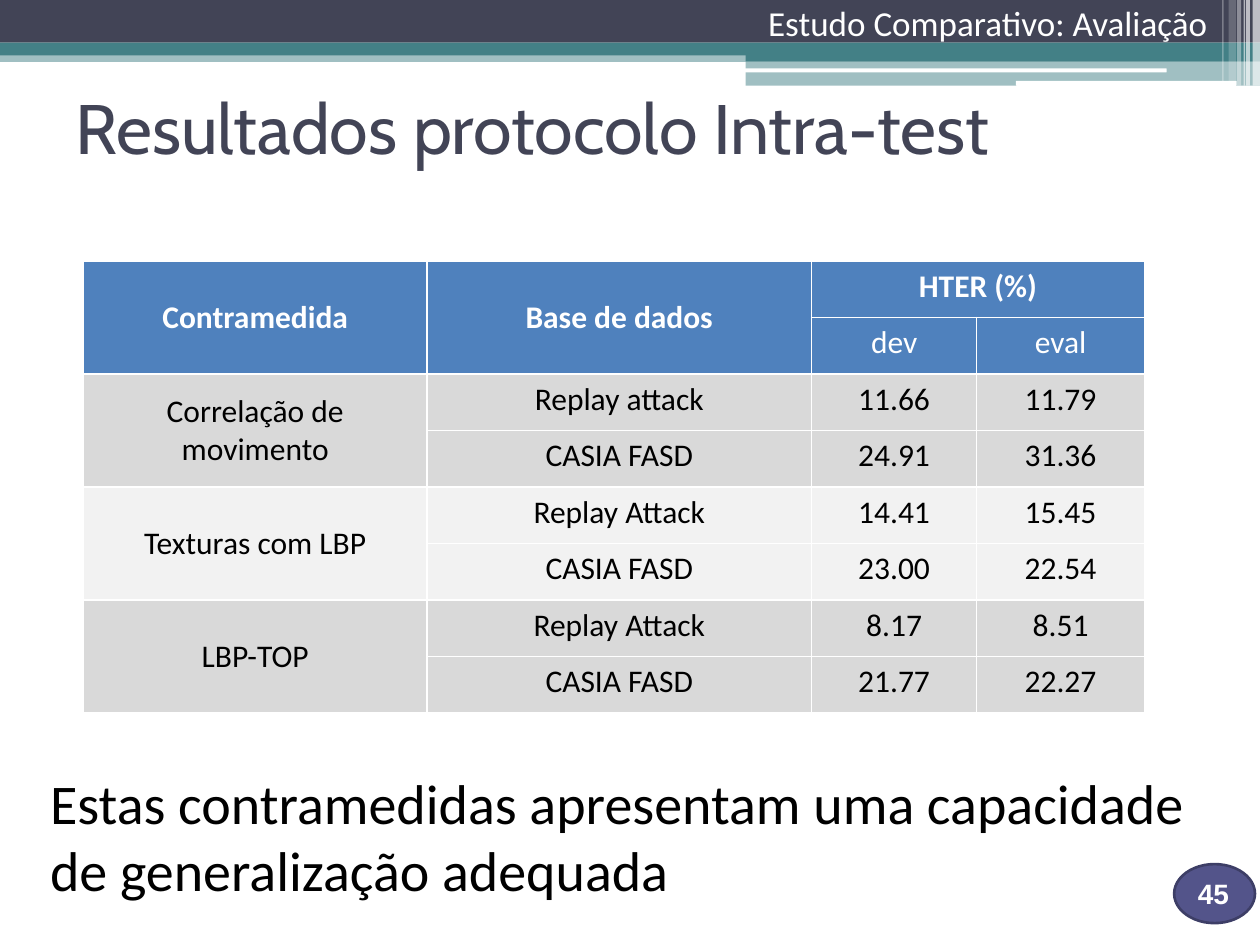
from lxml import etree
from pptx import Presentation
from pptx.dml.color import RGBColor
from pptx.enum import shapes, text
from pptx.oxml import ns
from pptx.util import Cm, Pt

WHITE = RGBColor(0xFF, 0xFF, 0xFF)
BLACK = RGBColor(0x00, 0x00, 0x00)
NAVY = RGBColor(0x42, 0x44, 0x56)
TEAL = RGBColor(0x43, 0x80, 0x86)
PURPLE = RGBColor(0x53, 0x54, 0x8A)
DARK_PURPLE = RGBColor(0x3D, 0x3E, 0x66)
BLUE = RGBColor(0x4F, 0x81, 0xBD)
GREY = RGBColor(0xD9, 0xD9, 0xD9)
LIGHT_GREY = RGBColor(0xF2, 0xF2, 0xF2)

RECT = shapes.MSO_SHAPE.RECTANGLE
ROUND = shapes.MSO_SHAPE.ROUNDED_RECTANGLE
OVAL = shapes.MSO_SHAPE.OVAL

BARS = [
    (RECT, 0, 1.02, 25.4, 0.23, TEAL, 50),
    (RECT, 0, 0, 25.4, 0.86, NAVY, 100),
    (RECT, 0, 0.86, 25.4, 0.26, TEAL, 100),
    (RECT, 15.03, 0.98, 10.37, 0.25, TEAL, 100),
    (RECT, 15.03, 1.23, 10.37, 0.5, TEAL, 50),
    (ROUND, 15.01, 1.38, 8.51, 0.08, WHITE, 100),
    (ROUND, 20.48, 1.63, 4.45, 0.1, WHITE, 100),
    (RECT, 25.25, 0, 0.15, 1.73, WHITE, 65),
    (RECT, 25.12, 0, 0.08, 1.73, WHITE, 65),
    (RECT, 25.07, 0, 0.03, 1.73, WHITE, 60),
    (RECT, 24.94, 0, 0.08, 1.73, WHITE, 40),
    (RECT, 24.77, 0, 0.15, 1.63, WHITE, 20),
    (RECT, 24.64, 0, 0.03, 1.63, WHITE, 30),
]

ROWS = [
    ("Contramedida", "Base de dados", "HTER (%)", ""),
    ("", "", "dev", "eval"),
    ("Correlação de movimento", "Replay attack", "11.66", "11.79"),
    ("", "CASIA FASD", "24.91", "31.36"),
    ("Texturas com LBP", "Replay Attack", "14.41", "15.45"),
    ("", "CASIA FASD", "23.00", "22.54"),
    ("LBP-TOP", "Replay Attack", "8.17", "8.51"),
    ("", "CASIA FASD", "21.77", "22.27"),
]
COLUMN_WIDTHS = (6.93, 7.75, 3.33, 3.38)
ROW_HEIGHT = 1.14
GROUP_FILLS = (BLUE, GREY, LIGHT_GREY, GREY)


def format_text(tf, size, color, font="Calibri", bold=False, align=text.PP_ALIGN.LEFT):
    """Format every run of a text frame."""
    for p in tf.paragraphs:
        p.alignment = align
        for r in p.runs:
            r.font.name = font
            r.font.size = Pt(size)
            r.font.bold = bold
            r.font.color.rgb = color


def add_box(slide, kind, x, y, w, h, color, opacity=100):
    """Add a filled shape without outline or shadow."""
    sp = slide.shapes.add_shape(kind, Cm(x), Cm(y), Cm(w), Cm(h))
    sp.shadow.inherit = False
    sp.fill.solid()
    sp.fill.fore_color.rgb = color
    sp.line.fill.background()
    if opacity < 100:
        clr = sp.fill._xPr.find(".//" + ns.qn("a:srgbClr"))
        etree.SubElement(clr, ns.qn("a:alpha")).set("val", str(opacity * 1000))
    return sp


def add_text(slide, content, x, y, w, h, size, color, wrap=True, **style):
    """Add a text box with one formatted paragraph."""
    tf = slide.shapes.add_textbox(Cm(x), Cm(y), Cm(w), Cm(h)).text_frame
    tf.word_wrap = wrap
    tf.text = content
    format_text(tf, size, color, **style)


def set_title(slide, content):
    """Fill and place the title placeholder."""
    sp = slide.shapes.title
    sp.left, sp.top, sp.width, sp.height = Cm(1.27), Cm(1.07), Cm(22.86), Cm(2.97)
    tf = sp.text_frame
    tf.text = content
    tf.vertical_anchor = text.MSO_ANCHOR.MIDDLE
    format_text(tf, 40, NAVY, font="Cabin")


def set_borders(cell):
    """Give a cell thin white borders on all sides."""
    tc_pr = cell._tc.get_or_add_tcPr()
    for side in ("lnL", "lnR", "lnT", "lnB"):
        ln = etree.SubElement(tc_pr, ns.qn("a:" + side), w=str(Pt(1)))
        fill = etree.SubElement(ln, ns.qn("a:solidFill"))
        etree.SubElement(fill, ns.qn("a:srgbClr"), val=str(WHITE))


def add_results(slide):
    """Add the results table with its merged cells."""
    table = slide.shapes.add_table(
        len(ROWS), len(COLUMN_WIDTHS), Cm(1.68), Cm(5.26),
        Cm(sum(COLUMN_WIDTHS)), Cm(ROW_HEIGHT * len(ROWS))).table
    for column, width in zip(table.columns, COLUMN_WIDTHS):
        column.width = Cm(width)
    for i, row in enumerate(ROWS):
        table.rows[i].height = Cm(ROW_HEIGHT)
        for j, content in enumerate(row):
            cell = table.cell(i, j)
            set_borders(cell)
            cell.fill.solid()
            cell.fill.fore_color.rgb = GROUP_FILLS[i // 2]
            cell.text = content
            format_text(cell.text_frame, 18, WHITE if i < 2 else BLACK,
                        bold=i == 0, align=text.PP_ALIGN.CENTER)
    spans = [(i, 0, i + 1, 0) for i in range(0, len(ROWS), 2)] + [(0, 1, 1, 1)]
    for top, left, bottom, right in spans:
        table.cell(top, left).merge(table.cell(bottom, right))
        table.cell(top, left).vertical_anchor = text.MSO_ANCHOR.MIDDLE
    table.cell(0, 2).merge(table.cell(0, 3))


def add_page_number(slide, number):
    """Add the page number on its oval badge."""
    sp = add_box(slide, OVAL, 23.67, 17.42, 1.63, 1.19, PURPLE)
    sp.line.color.rgb = DARK_PURPLE
    sp.line.width = Pt(1.5)
    add_text(slide, number, 23.9, 17.55, 1.78, 1.02, 16, WHITE, font="Arial", bold=True)


def main():
    """Build and save the slide."""
    prs = Presentation()
    prs.slide_width, prs.slide_height = Cm(25.4), Cm(19.05)
    s = prs.slides.add_slide(prs.slide_layouts[5])
    for bar in BARS:
        add_box(s, *bar)
    add_page_number(s, "45")
    set_title(s, "Resultados protocolo Intra-test")
    add_text(s, "Estudo Comparativo: Avaliação", 15.09, -0.1, 9.5, 1.12, 20, WHITE,
             wrap=False, align=text.PP_ALIGN.RIGHT)
    add_results(s)
    add_text(s, "Estas contramedidas apresentam uma capacidade de generalização adequada",
             0.76, 15.37, 23.7, 3, 32, BLACK)
    prs.save("out.pptx")


if __name__ == "__main__":
    main()
